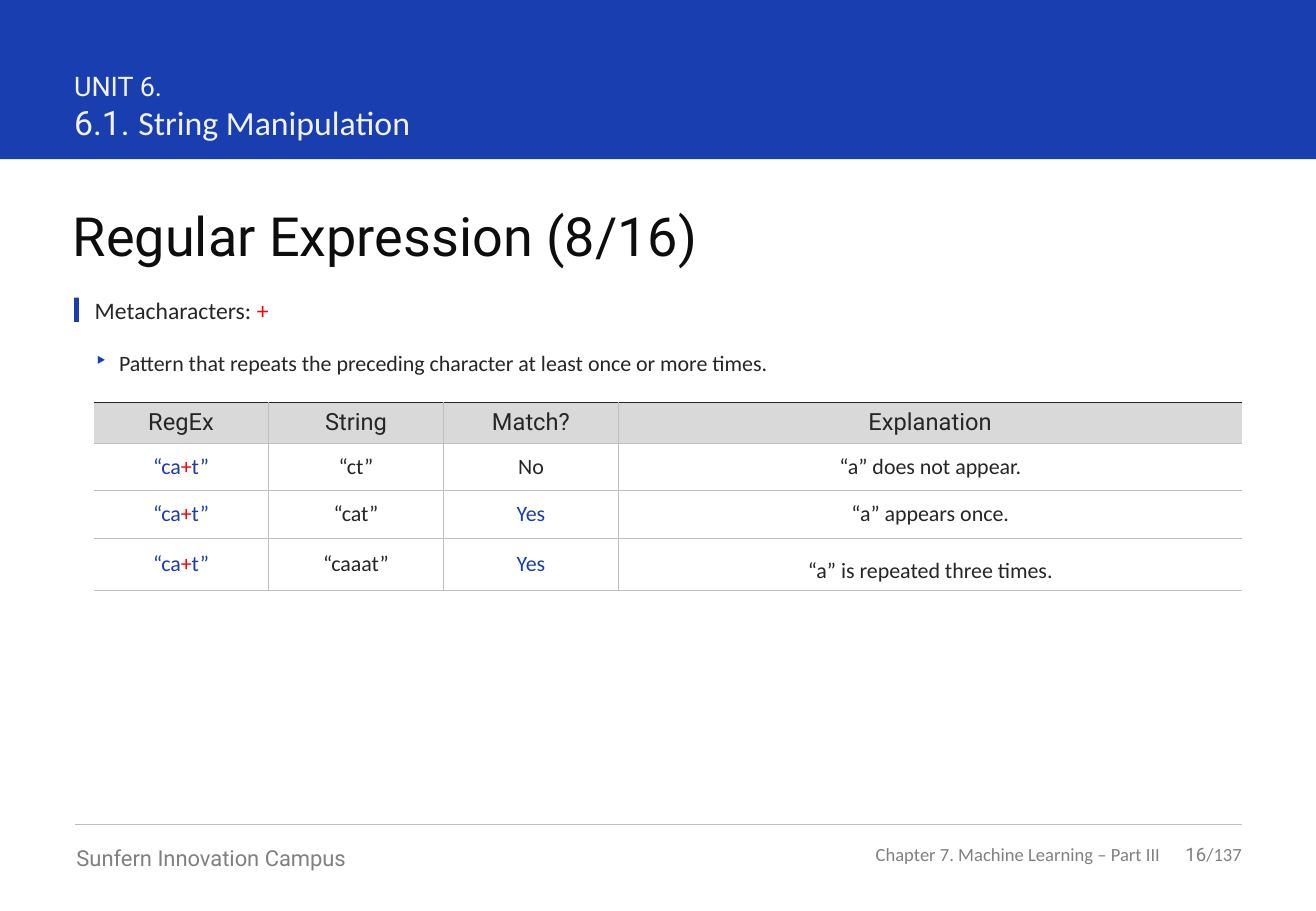
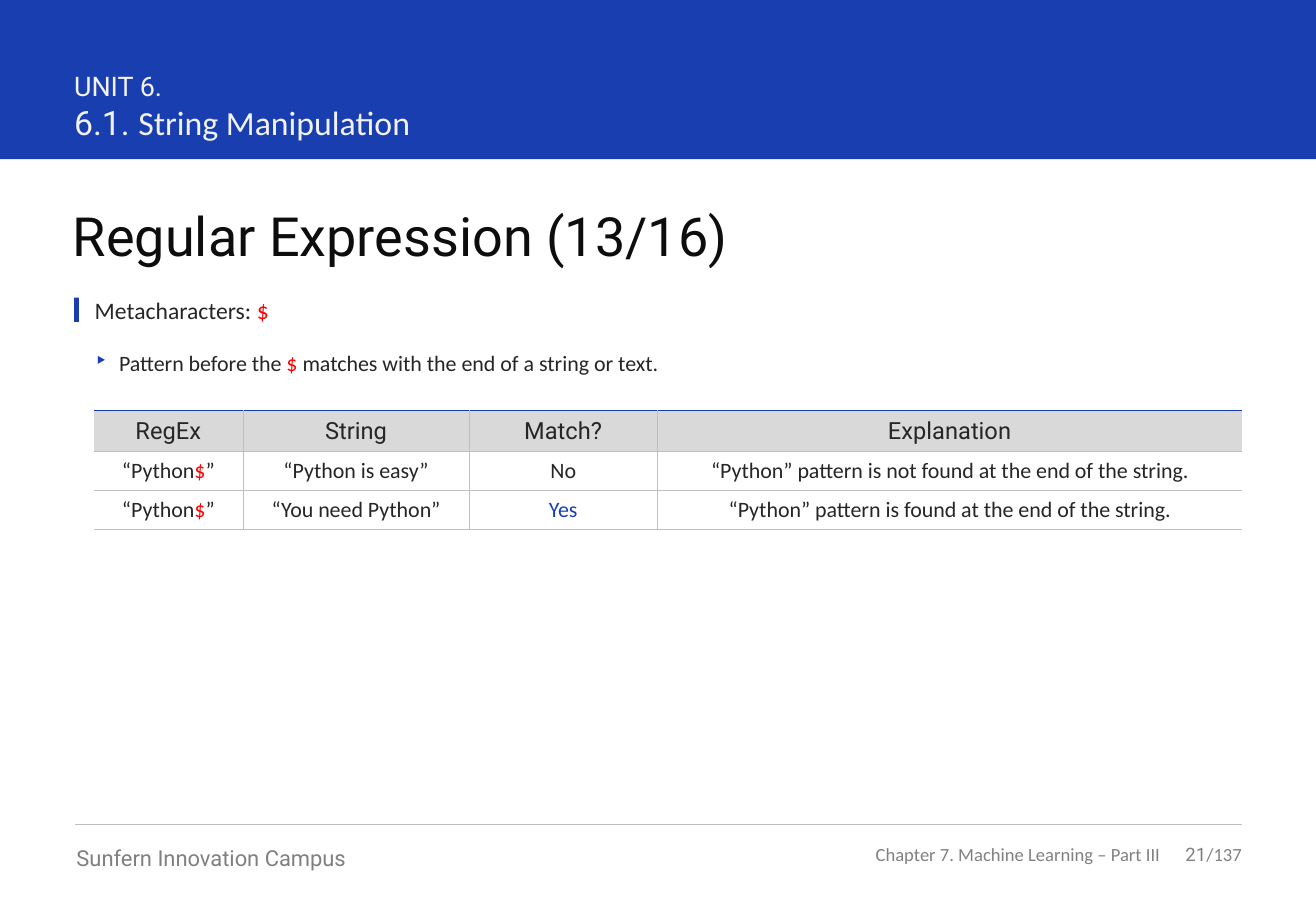
from dataclasses import dataclass, field

from pptx import Presentation
from pptx.dml.color import RGBColor
from pptx.enum.shapes import MSO_CONNECTOR, MSO_SHAPE
from pptx.enum.text import MSO_ANCHOR, PP_ALIGN
from pptx.oxml.ns import qn
from pptx.util import Pt
from lxml.etree import SubElement

PX = 9144


@dataclass(frozen=True)
class Theme:
    blue: str = "193EB0"
    red: str = "FF0000"
    ink: str = "262626"
    rule: str = "BFBFBF"
    header_fill: str = "D9D9D9"
    body_fill: str = "FFFFFF"
    styles: dict = field(default_factory=lambda: {
        "unit": {"name": "Roboto", "size": Pt(16), "color": "F2F2F2"},
        "section_number": {"name": "Roboto", "size": Pt(20), "color": "F2F2F2"},
        "section": {"name": "Calibri", "size": Pt(20), "color": "F2F2F2"},
        "title": {"name": "Roboto", "size": Pt(32), "color": "0D0D0D"},
        "topic": {"name": "Calibri", "size": Pt(14), "color": "262626"},
        "body": {"name": "Calibri", "size": Pt(13), "color": "262626"},
        "body_blue": {"name": "Calibri", "size": Pt(13), "color": "193EB0"},
        "table_header": {"name": "Roboto", "size": Pt(14), "color": "262626"},
        "campus": {"name": "Roboto", "size": Pt(13), "color": "808080"},
        "page": {"name": "Roboto", "size": Pt(11), "color": "808080"},
        "footer": {"name": "Calibri", "size": Pt(11), "color": "808080"},
    })


theme = Theme()


def write_runs(paragraph, runs, sign=None):
    for text, style_name in runs:
        style = theme.styles[style_name]
        pieces = text.partition(sign) if sign else (text,)
        for piece, color in zip(pieces, (style["color"], theme.red, style["color"])):
            if not piece:
                continue
            run = paragraph.add_run()
            run.text = piece
            for key, value in {**style, "color": color}.items():
                if key == "color":
                    run.font.color.rgb = RGBColor.from_string(value)
                else:
                    setattr(run.font, key, value)


def add_text(slide, box, lines, sign=None, align=PP_ALIGN.LEFT, **frame_format):
    shape = slide.shapes.add_textbox(*(length * PX for length in box))
    settings = {"word_wrap": True, "margin_left": 0, "margin_top": 0,
                "margin_right": 0, "margin_bottom": 0, **frame_format}
    for key, value in settings.items():
        setattr(shape.text_frame, key, value)
    for index, runs in enumerate(lines):
        frame = shape.text_frame
        paragraph = frame.add_paragraph() if index else frame.paragraphs[0]
        paragraph.alignment = align
        write_runs(paragraph, runs, sign)
    return shape


pages = [
    {
        "title": "Regular Expression (8/16)", "number": "16", "sign": "+",
        "summary": "Pattern that repeats the preceding character at least once or more times.",
        "table_top": 331, "columns": [144, 144, 144, 513], "rows": [34, 39, 39, 43],
        "top_border": (theme.ink, 0.5), "pattern_style": "body_blue",
        "last_spacing": 1.5,
        "cells": [
            ["“ca+t”", "“ct”", "No", "“a” does not appear."],
            ["“ca+t”", "“cat”", "Yes", "“a” appears once."],
            ["“ca+t”", "“caaat”", "Yes", "“a” is repeated three times."],
        ],
    },
    {
        "title": "Regular Expression (13/16)", "number": "21", "sign": "$",
        "summary": "Pattern before the $ matches with the end of a string or text.",
        "table_top": 338, "columns": [123, 186, 155, 481], "rows": [34, 32, 32],
        "top_border": (theme.blue, 1), "pattern_style": "body",
        "last_spacing": 1.0,
        "cells": [
            ["“Python$”", "“Python is easy”", "No",
             "“Python” pattern is not found at the end of the string."],
            ["“Python$”", "“You need Python”", "Yes",
             "“Python” pattern is found at the end of the string."],
        ],
    },
]
table_header = ["RegEx", "String", "Match?", "Explanation"]

presentation = Presentation()
presentation.slide_width = 1083 * PX
presentation.slide_height = 750 * PX

for page in pages:
    slide = presentation.slides.add_slide(presentation.slide_layouts[6])
    sign = page["sign"]

    for box in [(0, 0, 1083, 131), (61, 245, 4, 20)]:
        shape = slide.shapes.add_shape(MSO_SHAPE.RECTANGLE, *(length * PX for length in box))
        shape.shadow.inherit = False
        shape.fill.solid()
        shape.fill.fore_color.rgb = RGBColor.from_string(theme.blue)
        shape.line.fill.background()

    footer_line = slide.shapes.add_connector(
        MSO_CONNECTOR.STRAIGHT, 62 * PX, 679 * PX, 1022 * PX, 679 * PX)
    footer_line.line.color.rgb = RGBColor.from_string(theme.rule)
    footer_line.line.width = Pt(0.5)
    SubElement(footer_line._element.spPr, qn("a:effectLst"))

    add_text(slide, (63, 695, 316, 22), [[("Sunfern Innovation Campus", "campus")]])
    add_text(slide, (700, 694, 255, 19),
             [[("Chapter 7. Machine Learning – Part III", "footer")]],
             align=PP_ALIGN.RIGHT, vertical_anchor=MSO_ANCHOR.MIDDLE)
    add_text(slide, (955, 694, 67, 19), [[(page["number"], "page"), ("/137", "footer")]],
             align=PP_ALIGN.RIGHT, vertical_anchor=MSO_ANCHOR.MIDDLE)

    add_text(slide, (61, 57, 637, 61),
             [[("UNIT 6.", "unit")],
              [("6.1. ", "section_number"), ("String Manipulation", "section")]])
    add_text(slide, (60, 167, 962, 54), [[(page["title"], "title")]])
    add_text(slide, (78, 244, 944, 24), [[(f"Metacharacters: {sign}", "topic")]], sign)

    summary = add_text(slide, (78, 280, 944, 38), [[(page["summary"], "body")]], sign,
                       margin_top=8 * PX, margin_right=16 * PX, margin_bottom=8 * PX)
    properties = summary.text_frame.paragraphs[0]._p.get_or_add_pPr()
    properties.set("marL", str(20 * PX))
    properties.set("indent", str(-20 * PX))
    bullet_color = SubElement(properties, qn("a:buClr"))
    SubElement(bullet_color, qn("a:srgbClr"), val=theme.blue)
    SubElement(properties, qn("a:buChar"), char="‣")

    columns, rows = page["columns"], page["rows"]
    table = slide.shapes.add_table(
        len(rows), len(columns), 77 * PX, page["table_top"] * PX,
        sum(columns) * PX, sum(rows) * PX).table
    table.first_row = False
    table.horz_banding = False
    for column, width in zip(table.columns, columns):
        column.width = width * PX
    for row, height in zip(table.rows, rows):
        row.height = height * PX

    for row_index, texts in enumerate([table_header] + page["cells"]):
        for column_index, text in enumerate(texts):
            is_header = row_index == 0
            is_last_column = column_index == len(columns) - 1
            if is_header:
                style_name = "table_header"
            elif column_index == 0:
                style_name = page["pattern_style"]
            else:
                style_name = "body_blue" if text == "Yes" else "body"

            cell = table.cell(row_index, column_index)
            cell_format = {"vertical_anchor": MSO_ANCHOR.MIDDLE,
                           "margin_left": 11 * PX, "margin_right": 11 * PX,
                           "margin_top": 5 * PX, "margin_bottom": 5 * PX}
            for key, value in cell_format.items():
                setattr(cell, key, value)
            paragraph = cell.text_frame.paragraphs[0]
            paragraph.alignment = PP_ALIGN.CENTER
            if is_last_column and row_index == len(rows) - 1:
                paragraph.line_spacing = page["last_spacing"]
            write_runs(paragraph, [(text, style_name)], sign)

            thin = (theme.rule, 0.5)
            borders = {
                "a:lnL": thin if column_index else None,
                "a:lnR": None if is_last_column else thin,
                "a:lnT": page["top_border"] if is_header else thin,
                "a:lnB": thin,
            }
            cell_properties = cell._tc.get_or_add_tcPr()
            for tag, border in borders.items():
                color, width = border or (None, 0)
                edge = SubElement(cell_properties, qn(tag), w=str(Pt(width)))
                if color:
                    SubElement(SubElement(edge, qn("a:solidFill")), qn("a:srgbClr"), val=color)
                else:
                    SubElement(edge, qn("a:noFill"))
            cell.fill.solid()
            cell.fill.fore_color.rgb = RGBColor.from_string(
                theme.header_fill if is_header else theme.body_fill)

presentation.save("out.pptx")
